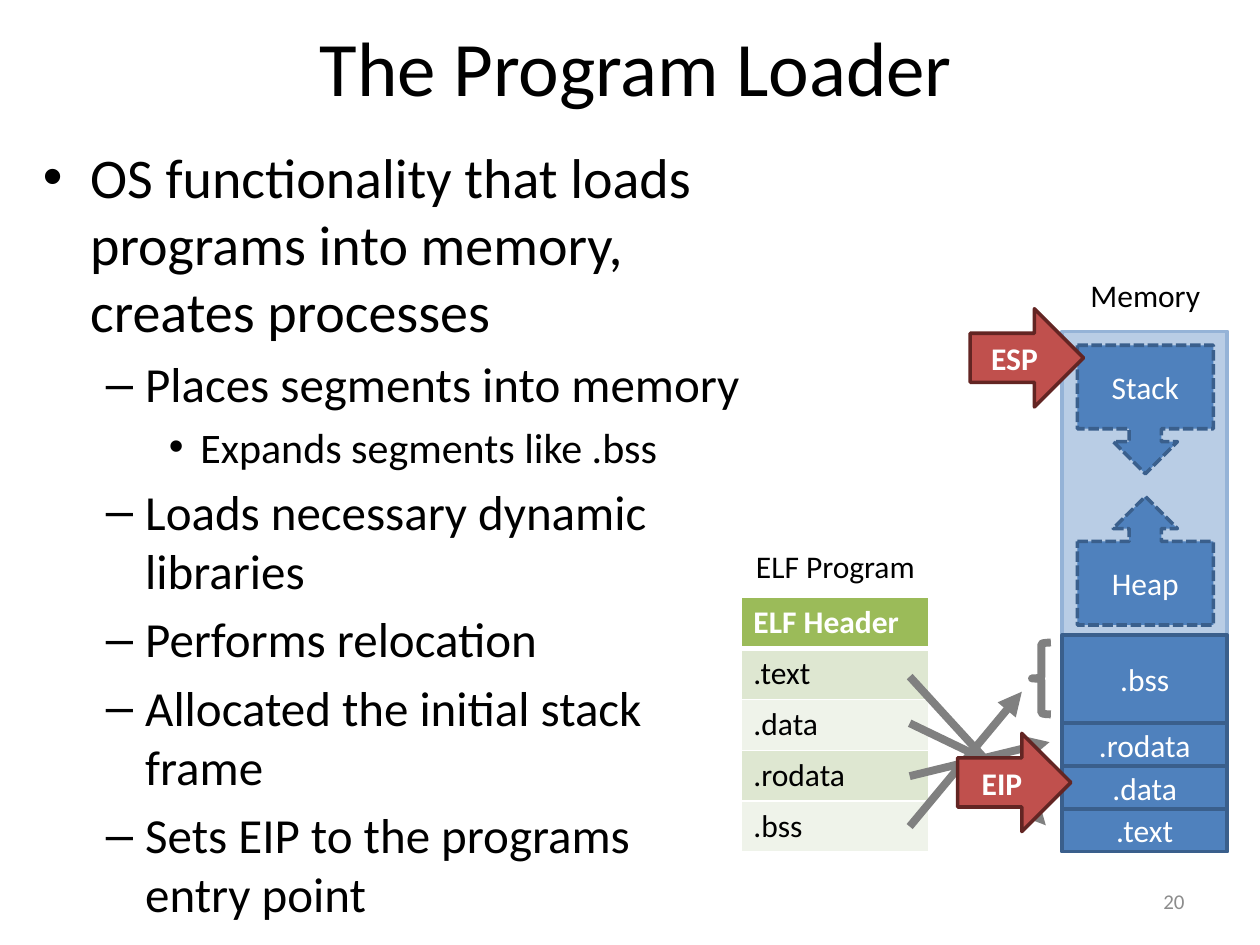
"""Build the slide on the program loader, with its ELF table and memory diagram."""
from dataclasses import dataclass
from typing import Optional

import pptx
import pptx.dml.color
import pptx.enum.dml
import pptx.enum.shapes
import pptx.enum.text
import pptx.oxml.ns
import pptx.util
from lxml import etree

Inches = pptx.util.Inches
Pt = pptx.util.Pt
qn = pptx.oxml.ns.qn
Shape = pptx.enum.shapes.MSO_SHAPE
Align = pptx.enum.text.PP_ALIGN
Anchor = pptx.enum.text.MSO_ANCHOR


@dataclass(frozen=True)
class Theme:
    font: str = "Calibri"
    title: float = 44
    levels: tuple = (32, 28, 24)
    label: float = 18
    number: float = 12
    black: str = "000000"
    white: str = "FFFFFF"
    gray: str = "808080"
    pale_gray: str = "8C8C8C"
    blue: str = "4F81BD"
    blue_edge: str = "3A5F8C"
    memory: str = "B9CDE5"
    memory_edge: str = "95B3D7"
    red: str = "C0504D"
    red_edge: str = "632523"
    header: str = "9BBB59"
    bands: tuple = ("DEE7D1", "EFF3EA")
    edge: float = 2
    thick: float = 4.5


@dataclass(frozen=True)
class Block:
    kind: int
    left: float
    top: float
    width: float
    height: float
    fill: Optional[str]
    edge: str
    text: str = ""
    bold: bool = False
    dashed: bool = False
    weight: float = 2


@dataclass(frozen=True)
class Arrow:
    x1: float
    y1: float
    x2: float
    y2: float


T = Theme()


def rgb(color: str) -> pptx.dml.color.RGBColor:
    return pptx.dml.color.RGBColor.from_string(color)


def style(p, size: float, color: str, align=None, bold: Optional[bool] = None) -> None:
    p.font.name, p.font.size, p.font.bold = T.font, Pt(size), bold
    p.font.color.rgb = rgb(color)
    if align is not None:
        p.alignment = align


def place(sp, left: float, top: float, width: float, height: float) -> None:
    sp.left, sp.top = Inches(left), Inches(top)
    sp.width, sp.height = Inches(width), Inches(height)


def add_block(slide, b: Block) -> None:
    sp = slide.shapes.add_shape(b.kind, Inches(b.left), Inches(b.top),
                                Inches(b.width), Inches(b.height))
    sp.shadow.inherit = False
    if b.fill:
        sp.fill.solid()
        sp.fill.fore_color.rgb = rgb(b.fill)
    else:
        sp.fill.background()
    sp.line.color.rgb = rgb(b.edge)
    sp.line.width = Pt(b.weight)
    if b.dashed:
        sp.line.dash_style = pptx.enum.dml.MSO_LINE.SQUARE_DOT
    if b.text:
        tf = sp.text_frame
        tf.text = b.text
        tf.vertical_anchor = Anchor.MIDDLE
        style(tf.paragraphs[0], T.label, T.white, Align.CENTER, b.bold)


def add_arrow(slide, a: Arrow) -> None:
    line = slide.shapes.add_connector(
        pptx.enum.shapes.MSO_CONNECTOR.STRAIGHT,
        Inches(a.x1), Inches(a.y1), Inches(a.x2), Inches(a.y2))
    line.line.color.rgb = rgb(T.gray)
    line.line.width = Pt(T.thick)
    etree.SubElement(line.line._get_or_add_ln(), qn("a:tailEnd"), type="triangle")
    etree.SubElement(line._element.spPr, qn("a:effectLst"))


def add_label(slide, text: str, left: float, top: float, width: float, size: float,
              color: str, align, wrap: bool = False) -> None:
    sp = slide.shapes.add_textbox(Inches(left), Inches(top), Inches(width), Inches(0.4))
    tf = sp.text_frame
    tf.word_wrap = wrap
    tf.vertical_anchor = Anchor.MIDDLE if wrap else Anchor.TOP
    tf.text = text
    style(tf.paragraphs[0], size, color, align)


def set_borders(cell, bottom: float) -> None:
    pr = cell._tc.get_or_add_tcPr()
    for i, (side, width) in enumerate((("L", 1), ("R", 1), ("T", 1), ("B", bottom))):
        ln = etree.Element(qn(f"a:ln{side}"), w=str(Pt(width)))
        fill = etree.SubElement(ln, qn("a:solidFill"))
        etree.SubElement(fill, qn("a:srgbClr"), val=T.white)
        pr.insert(i, ln)


def add_elf_table(slide, rows: tuple) -> None:
    height = 0.405
    table = slide.shapes.add_table(len(rows), 1, Inches(5.88), Inches(4.74), Inches(1.49),
                                   Inches(height * len(rows))).table
    for i, text in enumerate(rows):
        head = i == 0
        cell = table.cell(i, 0)
        cell.text = text
        cell.fill.solid()
        cell.fill.fore_color.rgb = rgb(T.header if head else T.bands[(i - 1) % 2])
        set_borders(cell, 3 if head else 1)
        style(cell.text_frame.paragraphs[0], T.label, T.white if head else T.black, bold=head)


def add_texts(slide, title: str, bullets: tuple) -> None:
    sp = slide.shapes.title
    place(sp, 0.55, 0.05, 9, 0.95)
    sp.text_frame.text = title
    sp.text_frame.vertical_anchor = Anchor.MIDDLE
    style(sp.text_frame.paragraphs[0], T.title, T.black, Align.CENTER)
    body = slide.placeholders[1]
    place(body, 0.24, 1.08, 5.74, 6.27)
    tf = body.text_frame
    tf.auto_size = pptx.enum.text.MSO_AUTO_SIZE.NONE
    for i, (level, text) in enumerate(bullets):
        p = tf.add_paragraph() if i else tf.paragraphs[0]
        p.text, p.level = text, level
        style(p, T.levels[level], T.black)


def main() -> None:
    prs = pptx.Presentation()
    prs.slide_width, prs.slide_height = Inches(10), Inches(7.5)
    slide = prs.slides.add_slide(prs.slide_layouts[1])
    add_texts(slide, "The Program Loader", (
        (0, "OS functionality that loads programs into memory, creates processes"),
        (1, "Places segments into memory"),
        (2, "Expands segments like .bss"),
        (1, "Loads necessary dynamic libraries"),
        (1, "Performs relocation"),
        (1, "Allocated the initial stack frame"),
        (1, "Sets EIP to the programs entry point")))
    add_label(slide, "20", 7.17, 6.95, 2.33, T.number, T.pale_gray, Align.RIGHT, wrap=True)
    left, width, bottom = 8.43, 1.31, 6.76
    add_block(slide, Block(Shape.RECTANGLE, left, 2.63, width, 4.13, T.memory, T.memory_edge))
    add_elf_table(slide, ("ELF Header", ".text", ".data", ".rodata", ".bss"))
    for text, x, y, w in (("ELF Program", 5.89, 4.29, 1.48), ("Memory", 8.55, 2.14, 1.08)):
        add_label(slide, text, x, y, w, T.label, T.black, Align.CENTER)
    for text, height in ((".text", 0.34), (".data", 0.34), (".rodata", 0.34), (".bss", 0.7)):
        bottom -= height
        add_block(slide, Block(Shape.RECTANGLE, left, bottom, width, height,
                               T.blue, T.blue_edge, text))
    for kind, y, text in ((Shape.UP_ARROW_CALLOUT, 3.94, "Heap"),
                          (Shape.DOWN_ARROW_CALLOUT, 2.74, "Stack")):
        add_block(slide, Block(kind, 8.55, y, 1.08, 1.02, T.blue, T.blue_edge, text, dashed=True))
    for arrow in (Arrow(7.22, 5.37, 8.3, 6.55), Arrow(7.22, 5.74, 8.3, 6.26),
                  Arrow(7.22, 6.16, 8.33, 5.89), Arrow(7.22, 6.56, 8.11, 5.49)):
        add_arrow(slide, arrow)
    add_block(slide, Block(Shape.LEFT_BRACE, 8.19, 5.1, 0.15, 0.57, None, T.gray, weight=T.thick))
    for text, x, y in (("ESP", 7.7, 2.45), ("EIP", 7.6, 5.82)):
        add_block(slide, Block(Shape.RIGHT_ARROW, x, y, 0.9, 0.78, T.red, T.red_edge, text, True))
    prs.save("out.pptx")


main()
